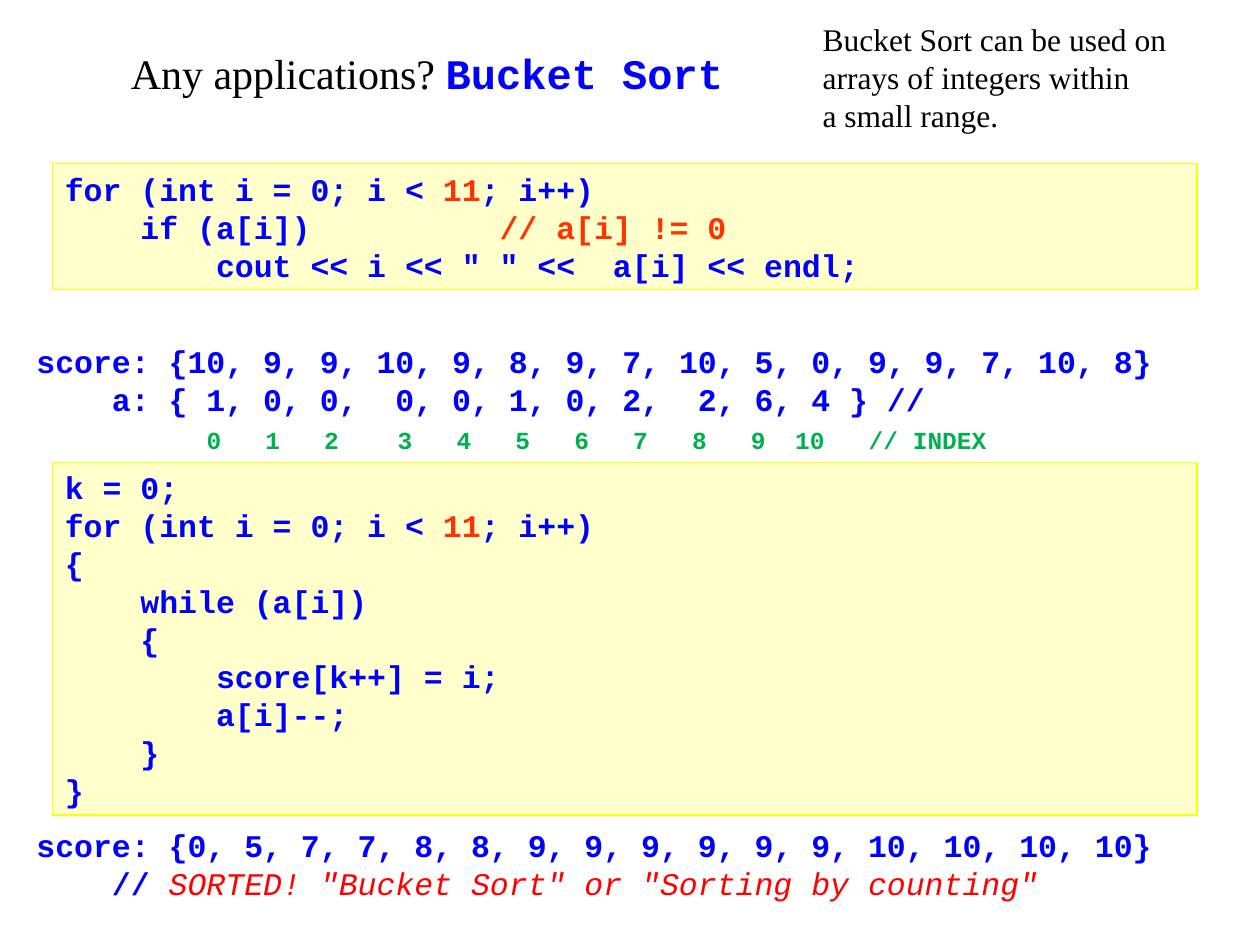
import pptx
import pptx.dml.color
import pptx.enum.shapes
import pptx.enum.text
import pptx.util

BLUE, ORANGE, RED, GREEN, BLACK = "0000FF", "FF3300", "FF0000", "00B050", "000000"
PANEL_FILL, PANEL_LINE = "FFFFCC", "FFFF00"
CODE_FONT, PROSE_FONT = "Courier New", "Times New Roman"


def color(hex_code):
    return pptx.dml.color.RGBColor.from_string(hex_code)


def points(*lengths):
    return [pptx.util.Pt(length) for length in lengths]


class SlideBuilder:
    def __init__(self, page):
        self.page = page

    def style(self, font, name=None, size=None, ink=None, bold=None, italic=None):
        """Set only the font properties that are given."""
        if name:
            font.name = name
        if size:
            font.size = pptx.util.Pt(size)
        if ink:
            font.color.rgb = color(ink)
        if bold is not None:
            font.bold = bold
        if italic is not None:
            font.italic = italic

    def fill_text(self, box, lines, wrap, **base):
        """Fill a box; a line is a string or a list of (text, style changes)."""
        frame = box.text_frame
        frame.word_wrap = wrap
        frame.auto_size = pptx.enum.text.MSO_AUTO_SIZE.SHAPE_TO_FIT_TEXT
        frame.vertical_anchor = pptx.enum.text.MSO_ANCHOR.TOP
        for index, line in enumerate(lines):
            para = frame.add_paragraph() if index else frame.paragraphs[0]
            para.alignment = pptx.enum.text.PP_ALIGN.LEFT
            self.style(para.font, **base)
            for text, changes in [(line, {})] if isinstance(line, str) else line:
                span = para.add_run()
                span.text = text
                self.style(span.font, **changes)

    def code_panel(self, top, height, lines):
        box = self.page.shapes.add_shape(
            pptx.enum.shapes.MSO_SHAPE.RECTANGLE, *points(30, top, 654, height))
        box.shadow.inherit = False
        box.fill.solid()
        box.fill.fore_color.rgb = color(PANEL_FILL)
        box.line.color.rgb = color(PANEL_LINE)
        box.line.width = pptx.util.Pt(0.75)
        self.fill_text(box, lines, True, name=CODE_FONT, size=18, ink=BLUE, bold=True)

    def array_listing(self, top, height, lines):
        box = self.page.shapes.add_textbox(*points(13.7, top, 651.6, height))
        self.fill_text(box, lines, False, name=CODE_FONT, size=18, ink=BLUE, bold=True)

    def prose(self, left, top, width, height, lines, size, wrap):
        box = self.page.shapes.add_textbox(*points(left, top, width, height))
        self.fill_text(box, lines, wrap, name=PROSE_FONT, size=size, ink=BLACK)


def main():
    deck = pptx.Presentation()
    deck.slide_width, deck.slide_height = points(720, 540)
    builder = SlideBuilder(deck.slides.add_slide(deck.slide_layouts[6]))

    loop_header = [("for (int i = 0; i < ", {}), ("11", {"ink": ORANGE}), ("; i++)", {})]

    builder.code_panel(93.6, 72, [
        loop_header,
        [("    if (a[i])          ", {}), ("// a[i] != 0", {"ink": ORANGE})],
        '        cout << i << " " <<  a[i] << endl;',
    ])
    builder.array_listing(192.2, 72, [
        "score: {10, 9, 9, 10, 9, 8, 9, 7, 10, 5, 0, 9, 9, 7, 10, 8}",
        "    a: { 1, 0, 0,  0, 0, 1, 0, 2,  2, 6, 4 } //",
        [("         ", {}),
         ("0   1   2    3   4   5   6   7   8   9  10   // INDEX",
          {"size": 14, "ink": GREEN})],
    ])
    builder.code_panel(264.2, 201.6, [
        "k = 0;",
        loop_header,
        "{",
        "    while (a[i])",
        "    {",
        "        score[k++] = i;",
        "        a[i]--;",
        "    }",
        "}",
    ])
    builder.array_listing(468.7, 50.4, [
        "score: {0, 5, 7, 7, 8, 8, 9, 9, 9, 9, 9, 9, 10, 10, 10, 10}",
        [("    // ", {}),
         ('SORTED! "Bucket Sort" or "Sorting by counting"',
          {"ink": RED, "bold": False, "italic": True})],
    ])
    builder.prose(67.7, 23.8, 352.8, 36, [
        [("Any applications? ", {}),
         ("Bucket Sort", {"name": CODE_FONT, "ink": BLUE, "bold": True})],
    ], size=24, wrap=False)
    builder.prose(463, 7.9, 221, 72, [
        "Bucket Sort can be used on arrays of integers within",
        "a small range.",
    ], size=18, wrap=True)

    deck.save("out.pptx")


if __name__ == "__main__":
    main()
